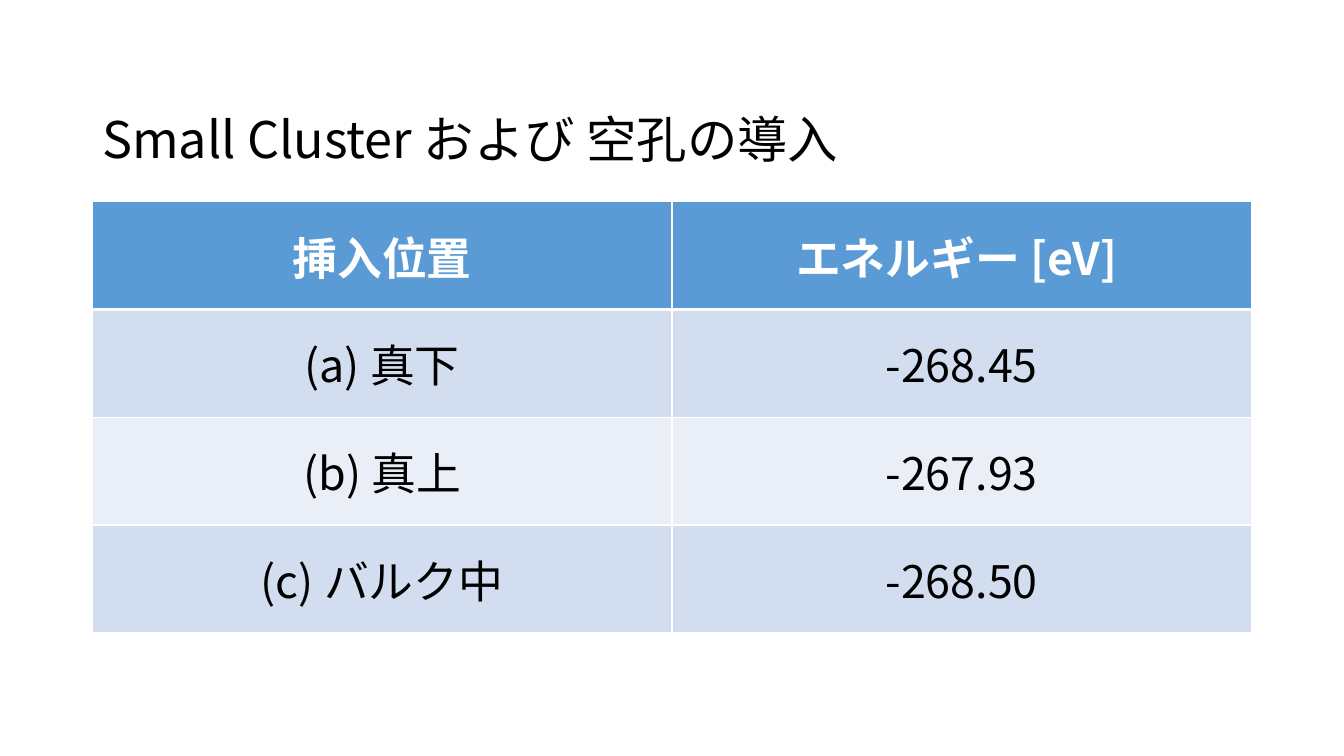
from lxml.etree import SubElement
from pptx import Presentation
from pptx.dml.color import RGBColor
from pptx.enum.text import MSO_ANCHOR as Anchor, PP_ALIGN as Align
from pptx.oxml.ns import qn
from pptx.util import Pt

COLORS = {
    "text": "000000",
    "white": "FFFFFF",
    "header": "5B9BD5",
    "odd": "D2DEEF",
    "even": "EAEFF7",
}
FONT = "Noto Sans CJK JP"
LEFT, WIDTH = 66, 828
ROWS = [
    ("挿入位置", "エネルギー [eV] "),
    ("(a) 真下", "-268.45"),
    ("(b) 真上", "-267.93"),
    ("(c) バルク中", "-268.50"),
]


def write(frame, text, size=32, color="text", bold=False, align=Align.LEFT, spacing=1.0):
    para = frame.paragraphs[0]
    para.alignment = align
    para.line_spacing = spacing
    span = para.add_run()
    span.text = text
    span.font.size = Pt(size)
    span.font.bold = bold
    span.font.name = FONT
    span.font.color.rgb = RGBColor.from_string(COLORS[color])
    # Japanese characters take the East Asian font
    SubElement(span.font._element, qn("a:ea"), typeface=FONT)


class SlideBuilder:
    def __init__(self, page):
        self.page = page

    def title(self, text, left, top, width, height):
        box = self.page.shapes.add_textbox(Pt(left), Pt(top), Pt(width), Pt(height))
        frame = box.text_frame
        frame.word_wrap = True
        frame.vertical_anchor = Anchor.MIDDLE
        write(frame, text, size=36, spacing=0.9)

    def borders(self, cell, top=1, bottom=1):
        props = cell._tc.get_or_add_tcPr()
        for side, weight in (("L", 1), ("R", 1), ("T", top), ("B", bottom)):
            line = SubElement(props, qn(f"a:ln{side}"), w=str(Pt(weight)))
            fill = SubElement(line, qn("a:solidFill"))
            SubElement(fill, qn("a:srgbClr"), val=COLORS["white"])

    def table(self, rows, left, top, width, row_height):
        frame = self.page.shapes.add_table(
            len(rows), len(rows[0]), Pt(left), Pt(top), Pt(width), Pt(row_height * len(rows))
        )
        for r, texts in enumerate(rows):
            header = r == 0
            fill = "header" if header else "odd" if r % 2 else "even"
            for c, text in enumerate(texts):
                cell = frame.table.cell(r, c)
                cell.vertical_anchor = Anchor.MIDDLE
                self.borders(cell, top=3 if r == 1 else 1, bottom=3 if header else 1)
                cell.fill.solid()
                cell.fill.fore_color.rgb = RGBColor.from_string(COLORS[fill])
                write(cell.text_frame, text, color="white" if header else "text",
                      bold=header, align=Align.CENTER)


def main():
    deck = Presentation()
    deck.slide_width, deck.slide_height = Pt(960), Pt(540)
    slide = SlideBuilder(deck.slides.add_slide(deck.slide_layouts[6]))

    # Heading
    slide.title("Small Cluster および 空孔の導入", LEFT, 49, WIDTH, 104.4)

    # Energy by insertion site
    slide.table(ROWS, LEFT, 144, WIDTH, 77)

    deck.save("out.pptx")


if __name__ == "__main__":
    main()
